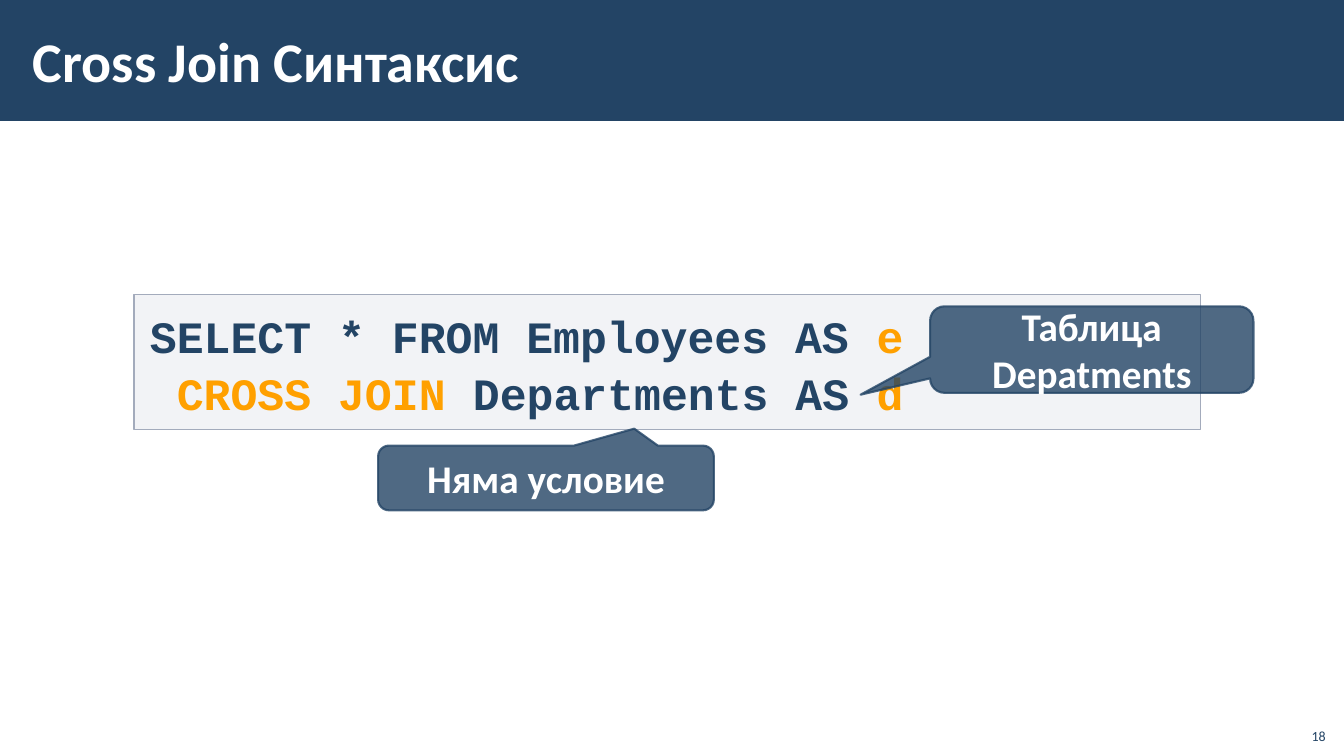
from dataclasses import dataclass

from lxml.etree import SubElement
from pptx import Presentation
from pptx.dml.color import RGBColor
from pptx.enum.shapes import MSO_SHAPE as Preset
from pptx.enum.text import MSO_ANCHOR as Anchor, PP_ALIGN as Align
from pptx.oxml.ns import qn
from pptx.util import Cm, Pt


@dataclass(frozen=True)
class Theme:
    navy: RGBColor = RGBColor.from_string("234465")
    orange: RGBColor = RGBColor.from_string("FFA000")
    white: RGBColor = RGBColor.from_string("FFFFFF")
    panel: RGBColor = RGBColor.from_string("C2C7D2")
    panel_line: RGBColor = RGBColor.from_string("A3ABBC")
    body_font: str = "Calibri"
    code_font: str = "Courier New"
    title_size: Pt = Pt(40)
    code_size: Pt = Pt(32)
    callout_size: Pt = Pt(28)
    number_size: Pt = Pt(10)


theme = Theme()


def style_run(run, size, color, name=theme.body_font, bold=True):
    run.font.name, run.font.size, run.font.bold = name, size, bold
    run.font.color.rgb = color


def paint(shape, fill, opacity=100, line=None, width=0, line_opacity=100):
    shape.shadow.inherit = False
    shape.fill.solid()
    shape.fill.fore_color.rgb = fill
    if line is None:
        shape.line.fill.background()
    else:
        shape.line.color.rgb = line
        shape.line.width = Pt(width)
    colors = shape._element.spPr.iter(qn("a:srgbClr"))
    for color, percent in zip(list(colors), (opacity, line_opacity)):
        if percent < 100:
            SubElement(color, qn("a:alpha"), val=str(percent * 1000))


presentation = Presentation()
presentation.slide_width, presentation.slide_height = Cm(33.87), Cm(19.05)
slide = presentation.slides.add_slide(presentation.slide_layouts[6])
shapes = slide.shapes

# Header band
band = shapes.add_shape(Preset.RECTANGLE, 0, 0, presentation.slide_width, Cm(3.05))
paint(band, theme.navy)

# SQL code panel
code_panel = shapes.add_shape(Preset.RECTANGLE, Cm(3.38), Cm(7.42), Cm(26.87), Cm(3.4))
paint(code_panel, theme.panel, 20, theme.panel_line, 1)
code_frame = code_panel.text_frame
code_frame.vertical_anchor = Anchor.TOP
code_frame.margin_left = code_frame.margin_right = Cm(0.4)
code_frame.margin_top = code_frame.margin_bottom = Cm(0.3)
code_lines = [
    [("SELECT * FROM Employees AS ", theme.navy), ("e", theme.orange)],
    [(" CROSS JOIN ", theme.orange), ("Departments AS ", theme.navy), ("d", theme.orange)],
]
code_frame.text = "\n".join("".join(text for text, _ in line) for line in code_lines)
for paragraph, line in zip(code_frame.paragraphs, code_lines):
    paragraph.clear()
    paragraph.alignment = Align.LEFT
    paragraph.line_spacing = 1.05
    for text, color in line:
        run = paragraph.add_run()
        run.text = text
        style_run(run, theme.code_size, color, theme.code_font)

# Title
title = shapes.add_textbox(Cm(0.53), Cm(0.28), Cm(27), Cm(2.46))
title_frame = title.text_frame
title_frame.word_wrap = True
title_frame.vertical_anchor = Anchor.MIDDLE
title_frame.margin_left = title_frame.margin_right = Cm(0.3)
title_frame.margin_top = title_frame.margin_bottom = Cm(0.1)
title_frame.text = "Cross Join Синтаксис"
style_run(title_frame.paragraphs[0].runs[0], theme.title_size, theme.white)

# Callouts: text, left, top, width, height, pointer tip
callouts = [
    ("Таблица Depatments", 23.44, 7.72, 8.15, 2.18, (-0.715, 0.522)),
    ("Няма условие", 9.53, 11.23, 8.46, 1.63, (0.263, -0.762)),
]
for text, left, top, width, height, (tip_x, tip_y) in callouts:
    callout = shapes.add_shape(
        Preset.ROUNDED_RECTANGULAR_CALLOUT, Cm(left), Cm(top), Cm(width), Cm(height)
    )
    callout.adjustments[0], callout.adjustments[1] = tip_x, tip_y
    paint(callout, theme.navy, 80, theme.navy, 1.5, 80)
    callout.text_frame.vertical_anchor = Anchor.MIDDLE
    callout.text_frame.text = text
    paragraph = callout.text_frame.paragraphs[0]
    paragraph.alignment = Align.CENTER
    style_run(paragraph.runs[0], theme.callout_size, theme.white)

# Slide number
number = shapes.add_textbox(Cm(32.64), Cm(18.08), Cm(1.02), Cm(0.81))
number_frame = number.text_frame
number_frame.word_wrap = True
number_frame.vertical_anchor = Anchor.BOTTOM
number_frame.text = "18"
number_frame.paragraphs[0].alignment = Align.RIGHT
style_run(number_frame.paragraphs[0].runs[0], theme.number_size, theme.navy, bold=False)

presentation.save("out.pptx")
